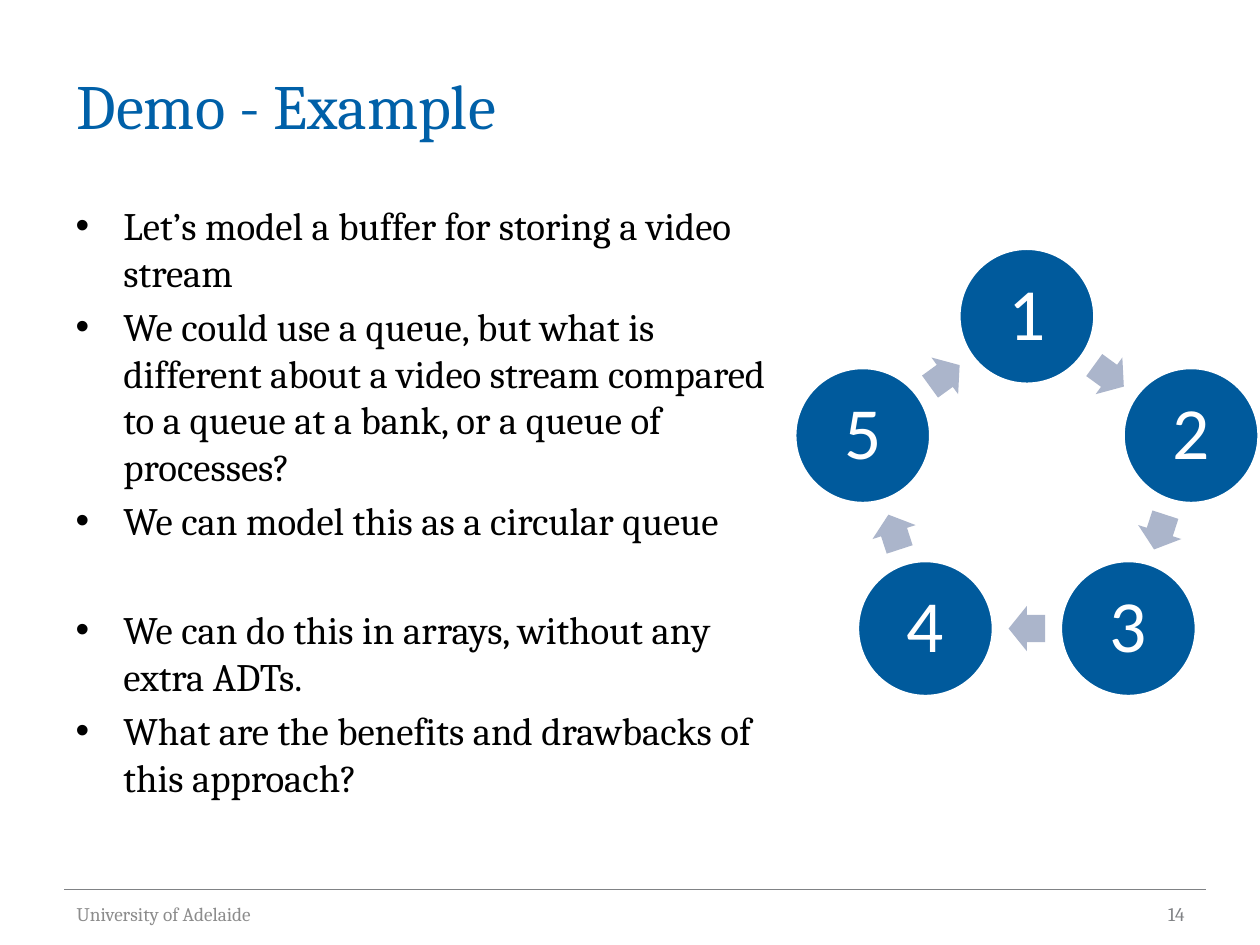
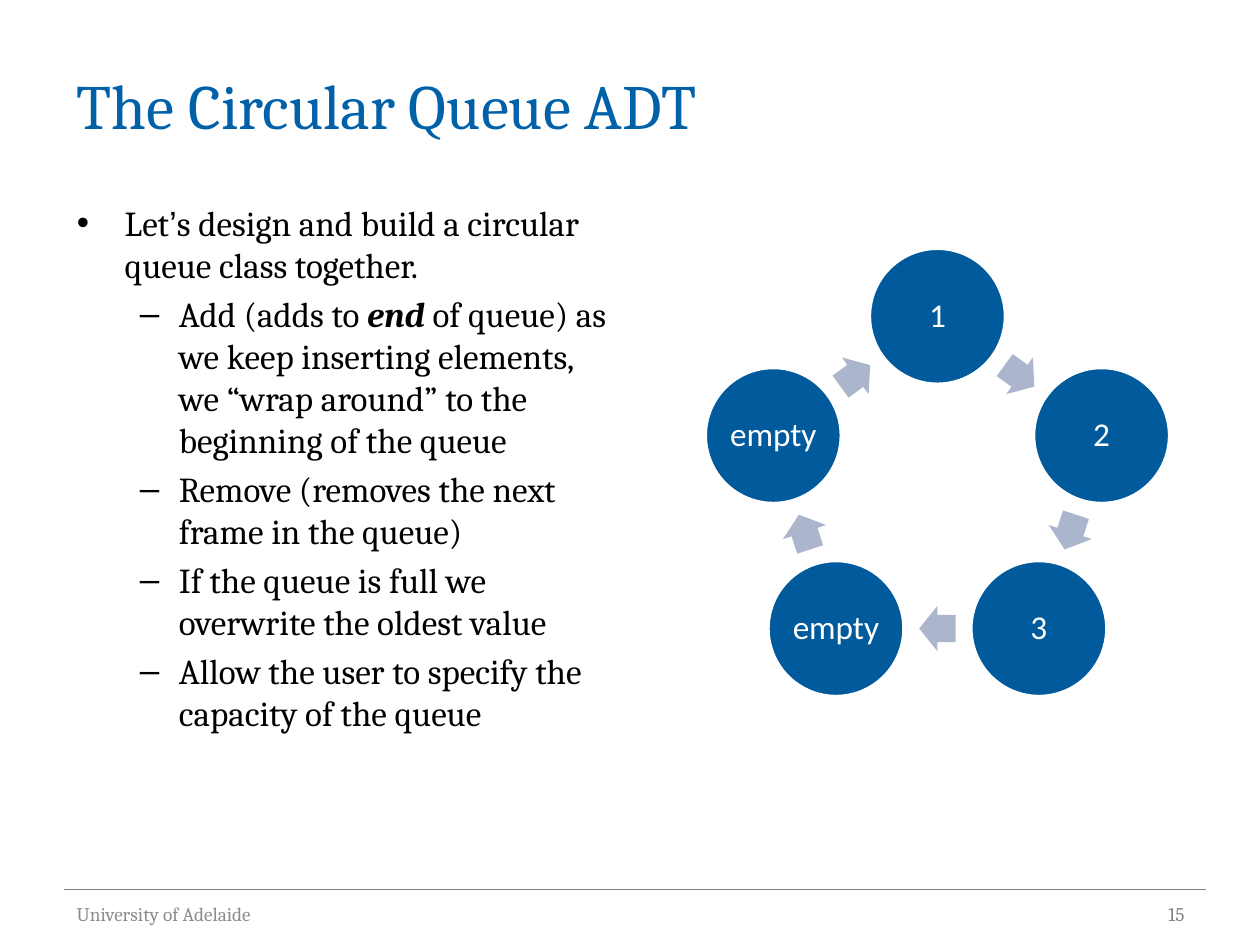
import math

from lxml import etree
from pptx import Presentation
from pptx import util as u
from pptx.dml.color import RGBColor
from pptx.enum import shapes, text
from pptx.oxml.ns import qn

TITLE_BLUE = RGBColor(0x00, 0x60, 0xA8)
NODE_BLUE = RGBColor(0x00, 0x5A, 0x9C)
ARROW_GREY = RGBColor(0xAB, 0xB5, 0xCB)
RULE_GREY = RGBColor(0x80, 0x82, 0x85)
FOOTER_GREY = RGBColor(0x8C, 0x8C, 0x8C)
BLACK = RGBColor(0, 0, 0)
WHITE = RGBColor(0xFF, 0xFF, 0xFF)

HEADING_FONT = "Cambria"
NODE_FONT = "Calibri"
BULLETS = [("•", 0.38, -0.38), ("–", 0.81, -0.31)]

NODE_SIZE = 1.08
RING_RADIUS = 1.37
RING_MIDDLE = 3.88
ARROW_WIDTH, ARROW_HEIGHT = 0.29, 0.36


def place(shape, left, top, width, height):
    shape.left, shape.top = u.Inches(left), u.Inches(top)
    shape.width, shape.height = u.Inches(width), u.Inches(height)


def add_run(paragraph, words, size, color, font=HEADING_FONT, emphasis=False):
    run = paragraph.add_run()
    run.text = words
    run.font.name = font
    run.font.size = u.Pt(size)
    run.font.color.rgb = color
    if emphasis:
        run.font.bold = run.font.italic = True


def set_title(slide, words):
    title = slide.shapes.title
    place(title, 0.51, 0.36, 9, 0.93)
    frame = title.text_frame
    frame.auto_size = text.MSO_AUTO_SIZE.NONE
    frame.vertical_anchor = text.MSO_ANCHOR.MIDDLE
    paragraph = frame.paragraphs[0]
    paragraph.alignment = text.PP_ALIGN.LEFT
    add_run(paragraph, words, 36, TITLE_BLUE)


def set_bullet(paragraph, level):
    character, margin, indent = BULLETS[level]
    paragraph.level = level
    properties = paragraph._p.get_or_add_pPr()
    properties.set("marL", str(u.Inches(margin)))
    properties.set("indent", str(u.Inches(indent)))
    etree.SubElement(properties, qn("a:buFont"), typeface="Arial")
    etree.SubElement(properties, qn("a:buChar"), char=character)


def set_body(slide, left, width, size, items):
    body = slide.placeholders[1]
    place(body, left, 1.55, width, 5.15)
    frame = body.text_frame
    frame.auto_size = text.MSO_AUTO_SIZE.NONE
    for index, (level, extra_space, runs) in enumerate(items):
        paragraph = frame.add_paragraph() if index else frame.paragraphs[0]
        set_bullet(paragraph, level)
        paragraph.space_before = u.Pt(0.2 * size + extra_space if index else 0)
        for words, options in runs:
            add_run(paragraph, words, size, BLACK, **options)


def add_footer_text(slide, left, width, words, color, alignment):
    box = slide.shapes.add_textbox(
        u.Inches(left), u.Inches(7.05), u.Inches(width), u.Inches(0.4))
    frame = box.text_frame
    frame.word_wrap = True
    frame.vertical_anchor = text.MSO_ANCHOR.MIDDLE
    frame.paragraphs[0].alignment = alignment
    add_run(frame.paragraphs[0], words, 11, color)


def add_footer(slide, number):
    rule = slide.shapes.add_connector(
        shapes.MSO_CONNECTOR.STRAIGHT,
        u.Inches(0.51), u.Inches(7.06), u.Inches(9.57), u.Inches(7.06))
    rule.line.color.rgb = RULE_GREY
    rule.line.width = u.Pt(0.75)
    etree.SubElement(rule._element.spPr, qn("a:effectLst"))
    add_footer_text(slide, 0.51, 3.17, "University of Adelaide",
                    FOOTER_GREY, text.PP_ALIGN.LEFT)
    add_footer_text(slide, 7.17, 2.33, str(number),
                    RULE_GREY, text.PP_ALIGN.RIGHT)


def add_centred_shape(slide, kind, x, y, width, height, fill):
    shape = slide.shapes.add_shape(
        kind, u.Inches(x - width / 2), u.Inches(y - height / 2),
        u.Inches(width), u.Inches(height))
    shape.shadow.inherit = False
    shape.fill.solid()
    shape.fill.fore_color.rgb = fill
    return shape


def add_node(slide, x, y, label, size, inset):
    node = add_centred_shape(slide, shapes.MSO_SHAPE.OVAL, x, y,
                             NODE_SIZE, NODE_SIZE, NODE_BLUE)
    node.line.color.rgb = WHITE
    node.line.width = u.Pt(2)
    frame = node.text_frame
    frame.word_wrap = False
    frame.vertical_anchor = text.MSO_ANCHOR.MIDDLE
    frame.margin_left = frame.margin_right = u.Inches(inset)
    frame.margin_top = frame.margin_bottom = u.Inches(inset)
    paragraph = frame.paragraphs[0]
    paragraph.alignment = text.PP_ALIGN.CENTER
    paragraph.line_spacing = 0.9
    add_run(paragraph, label, size, WHITE, NODE_FONT)


def add_arrow(slide, x, y, rotation):
    arrow = add_centred_shape(slide, shapes.MSO_SHAPE.RIGHT_ARROW, x, y,
                              ARROW_WIDTH, ARROW_HEIGHT, ARROW_GREY)
    arrow.adjustments[0], arrow.adjustments[1] = 0.6, 0.5
    arrow.line.fill.background()
    arrow.rotation = rotation


def add_queue_ring(slide, center, labels, size, inset):
    step = 360 / len(labels)
    arrow_radius = RING_RADIUS * math.cos(math.radians(step / 2))

    def point(degrees, radius):
        angle = math.radians(degrees)
        return (center + radius * math.sin(angle),
                RING_MIDDLE - radius * math.cos(angle))

    for index, label in enumerate(labels):
        node_angle = index * step
        arrow_angle = node_angle + step / 2
        add_node(slide, *point(node_angle, RING_RADIUS), label, size, inset)
        add_arrow(slide, *point(arrow_angle, arrow_radius), arrow_angle)


def plain(words, level=0, extra_space=0):
    return level, extra_space, [(words, {})]


def add_slide(presentation, number, title):
    slide = presentation.slides.add_slide(presentation.slide_layouts[1])
    set_title(slide, title)
    add_footer(slide, number)
    return slide


def main():
    presentation = Presentation()
    presentation.slide_width = u.Inches(10)
    presentation.slide_height = u.Inches(7.5)

    example = add_slide(presentation, 14, "Demo - Example")
    set_body(example, 0.5, 5.84, 22.2, [
        plain("Let’s model a buffer for storing a video stream"),
        plain("We could use a queue, but what is different about a video "
              "stream compared to a queue at a bank, or a queue of processes?"),
        plain("We can model this as a circular queue"),
        plain("We can do this in arrays, without any extra ADTs.",
              extra_space=31),
        plain("What are the benefits and drawbacks of this approach?"),
    ])
    add_queue_ring(example, 8.15, ["1", "2", "3", "4", "5"], 42, 0.06)

    design = add_slide(presentation, 15, "The Circular Queue ADT")
    set_body(design, 0.51, 4.49, 20, [
        (0, 0, [("Let", {}), ("’", {"font": "Arial"}),
                ("s design and build a circular queue class together.", {})]),
        (1, 0, [("Add (adds to ", {}), ("end", {"emphasis": True}),
                (" of queue) as we keep inserting elements, we “wrap around” "
                 "to the beginning of the queue", {})]),
        plain("Remove (removes the next frame in the queue)", 1),
        plain("If the queue is full we overwrite the oldest value", 1),
        plain("Allow the user to specify the capacity of the queue", 1),
    ])
    add_queue_ring(design, 7.44, ["1", "2", "3", "empty", "empty"], 19, 0.03)

    presentation.save("out.pptx")


if __name__ == "__main__":
    main()
